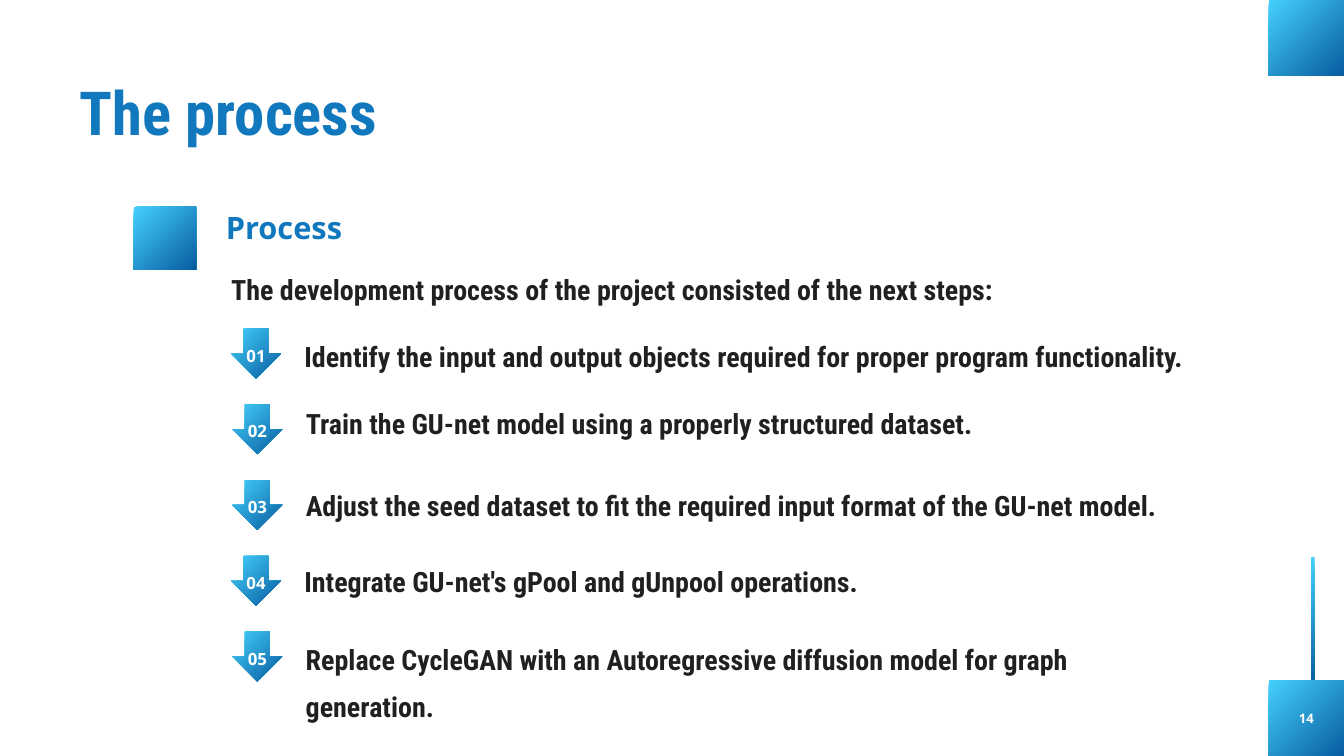
"""Build the process slide: a title, an intro line and five numbered steps."""
from pptx import Presentation
from pptx.dml.color import RGBColor
from pptx.enum.shapes import MSO_SHAPE
from pptx.enum.text import MSO_ANCHOR, MSO_AUTO_SIZE, PP_ALIGN
from pptx.util import Inches, Pt

RECTANGLE, DOWN_ARROW = MSO_SHAPE.RECTANGLE, MSO_SHAPE.DOWN_ARROW
LEFT, CENTER = PP_ALIGN.LEFT, PP_ALIGN.CENTER
TOP, NO_AUTOSIZE = MSO_ANCHOR.TOP, MSO_AUTO_SIZE.NONE
TITLE_ONLY = 5

BLUE, DARK, WHITE = "1178BE", "1F2020", "FFFFFF"
GRADIENT = ("45D0FC", "085DA0")
HEADING_FONT, LABEL_FONT = "Roboto Condensed", "Open Sans"

STYLES = {
    "title": (HEADING_FONT, 65, BLUE, 71.5, LEFT),
    "subtitle": (LABEL_FONT, 33, BLUE, 46.2, LEFT),
    "body": (HEADING_FONT, 30, DARK, 49.8, LEFT),
    "number": (LABEL_FONT, 18, WHITE, 25.2, CENTER),
    "page": (LABEL_FONT, 14, WHITE, 19.6, CENTER),
}

TITLE = ("The process", "title", (1.19, 1.2, 4.51, 1.01))
TEXTS = [
    ("14", "page", (19.14, 10.54, 0.6, 0.26)),
    ("Process", "subtitle", (3.36, 3.01, 7.01, 0.62)),
    ("The development process of the project consisted of the next steps:",
     "body", (3.44, 3.86, 15.35, 0.65)),
]
DECORATIONS = [
    (19.51, 8.29, 0.05, 1.9),
    (18.88, 0, 1.12, 1.12),
    (18.88, 10.12, 1.12, 1.13),
    (1.99, 3.08, 0.93, 0.93),
]
STEPS = [
    ("Identify the input and output objects required for proper program functionality.",
     3.44, 4.86, 13.42),
    ("Train the GU-net model using a properly structured dataset.", 3.46, 5.86, 11.02),
    ("Adjust the seed dataset to fit the required input format of the GU-net model.",
     3.46, 7.08, 13.85),
    ("Integrate GU-net's gPool and gUnpool operations.", 3.44, 8.21, 11.44),
    ("Replace CycleGAN with an Autoregressive diffusion model for graph generation.",
     3.46, 9.37, 12.64),
]
FIRST_ARROW_TOP, STEP_PITCH, ARROW_SIZE = 4.89, 1.1275, 0.74
TEXT_OFFSET = 1.09


def rgb(color):
    """Turn a hex string into a colour."""
    return RGBColor.from_string(color)


def set_attributes(target, values):
    """Set each named attribute of the target."""
    for name, value in values.items():
        setattr(target, name, value)


def write_text(shape, text, style):
    """Put one styled paragraph into a shape without margins."""
    font_name, size, color, line_spacing, alignment = STYLES[style]
    frame = shape.text_frame
    set_attributes(frame, {
        "margin_left": 0, "margin_top": 0, "margin_right": 0, "margin_bottom": 0,
        "word_wrap": True, "auto_size": NO_AUTOSIZE, "vertical_anchor": TOP})
    paragraph = frame.paragraphs[0]
    set_attributes(paragraph, {
        "alignment": alignment, "line_spacing": Pt(line_spacing), "space_before": Pt(0)})
    run = paragraph.add_run()
    run.text = text
    set_attributes(run.font, {"name": font_name, "size": Pt(size), "bold": True})
    run.font.color.rgb = rgb(color)


def add_text(slide, text, style, box):
    """Add a text box in the given style."""
    write_text(slide.shapes.add_textbox(*map(Inches, box)), text, style)


def add_gradient_shape(slide, kind, box):
    """Add an unlined shape shaded from top left to bottom right."""
    shape = slide.shapes.add_shape(kind, *map(Inches, box))
    shape.shadow.inherit = False
    shape.line.fill.background()
    shape.fill.gradient()
    shape.fill.gradient_angle = 315
    for stop, position, color in zip(shape.fill.gradient_stops, (0, 1), GRADIENT):
        stop.position = position
        stop.color.rgb = rgb(color)


def add_step(slide, index, step):
    """Add a numbered arrow and the sentence beside it."""
    text, left, text_top, width = step
    top = FIRST_ARROW_TOP + index * STEP_PITCH
    add_gradient_shape(slide, DOWN_ARROW, (left, top, ARROW_SIZE, ARROW_SIZE))
    add_text(slide, text, "body", (left + TEXT_OFFSET, text_top, width, 0.65))
    add_text(slide, f"{index + 1:02}", "number", (left + 0.1, top + 0.2, 0.54, 0.33))


def main():
    """Build and save the slide."""
    presentation = Presentation()
    set_attributes(presentation, {"slide_width": Inches(20), "slide_height": Inches(11.25)})
    slide = presentation.slides.add_slide(presentation.slide_layouts[TITLE_ONLY])

    text, style, box = TITLE
    title = slide.shapes.title
    set_attributes(title, dict(zip(("left", "top", "width", "height"), map(Inches, box))))
    write_text(title, text, style)

    for box in DECORATIONS:
        add_gradient_shape(slide, RECTANGLE, box)
    for text, style, box in TEXTS:
        add_text(slide, text, style, box)
    for index, step in enumerate(STEPS):
        add_step(slide, index, step)

    presentation.save("out.pptx")


if __name__ == "__main__":
    main()
